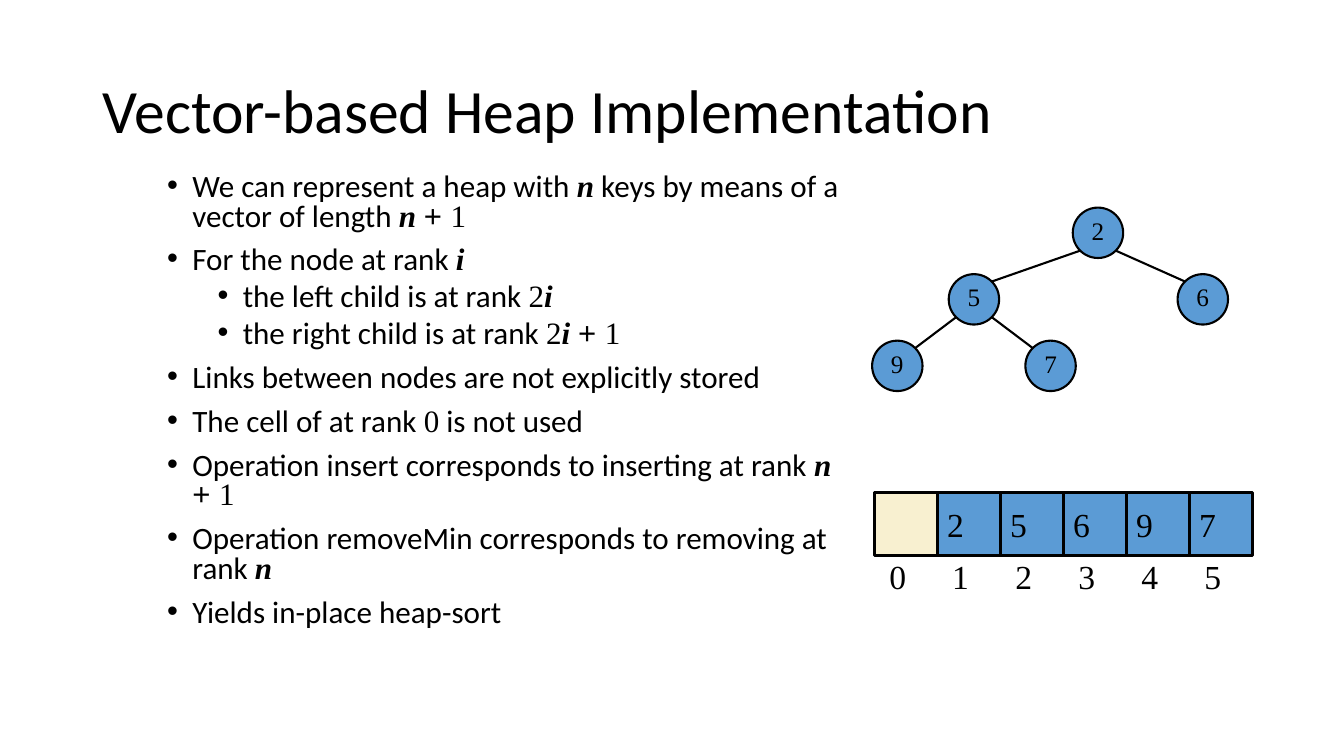
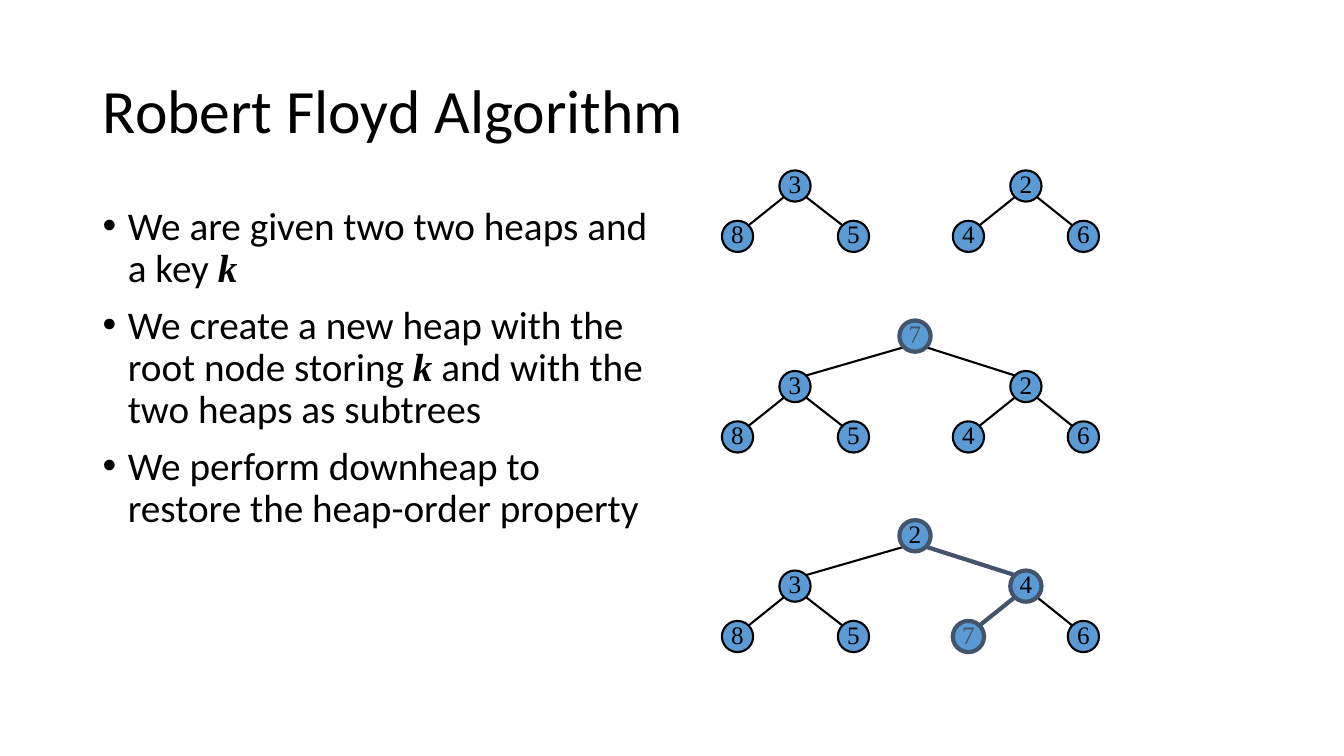
"""Build two slides on vector-based heaps and bottom-up heap merging."""
from dataclasses import dataclass
from typing import Any, NamedTuple

from lxml import etree
from pptx import Presentation
from pptx import util as u
from pptx.dml.color import RGBColor
from pptx.enum import shapes, text
from pptx.oxml import ns

COLOURS = {"ink": "000000", "node": "5B9BD5", "accent": "44546A", "unused": "F8F0D0", "paper": "FFFFFF"}
SANS, SERIF = "Calibri", "Times New Roman"
STYLES = {
    "plain": {"name": SANS, "bold": False, "italic": False},
    "variable": {"name": SERIF, "bold": True, "italic": True},
    "number": {"name": SERIF, "bold": False, "italic": False},
    "sign": {"name": "Arial", "bold": False, "italic": False},
}
TITLE_FRAME = {"vertical_anchor": text.MSO_ANCHOR.MIDDLE, "word_wrap": True, "auto_size": text.MSO_AUTO_SIZE.NONE}
TITLE_PARA = {"alignment": text.PP_ALIGN.LEFT, "line_spacing": 0.9}
NO_MARGINS = {"margin_left": 0, "margin_right": 0, "margin_top": 0, "margin_bottom": 0}
NODE_FRAME = NO_MARGINS | {
    "margin_bottom": u.Inches(0.05), "vertical_anchor": text.MSO_ANCHOR.MIDDLE, "word_wrap": False}
CELL_FRAME = {"vertical_anchor": text.MSO_ANCHOR.MIDDLE, "word_wrap": False}
LABEL_FRAME = NO_MARGINS | {"word_wrap": True}
RIM_SHARE = (1 - 0.5 ** 0.5) / 2


class Span(NamedTuple):
    """A piece of text in one of the named styles."""
    words: str
    style: str = "plain"


class Bullet(NamedTuple):
    """A bulleted paragraph at a given level."""
    spans: list[Span]
    level: int = 0


class Area(NamedTuple):
    """A rectangle in inches."""
    left: float
    top: float
    width: float
    height: float

    def lengths(self) -> list[u.Length]:
        """Return the four sides as lengths."""
        return [u.Inches(side) for side in self]


@dataclass(frozen=True)
class Heap:
    """A binary tree whose node of rank i has children 2i and 2i + 1."""
    keys: dict[int, str]
    lefts: tuple[float, ...]
    top: float
    step: float
    diameter: float
    ringed: tuple[int, ...] = ()
    tinted: tuple[int, ...] = ()

    def area(self, rank: int) -> Area:
        """Return the place of the node with this rank."""
        level = rank.bit_length() - 1
        return Area(self.lefts[rank - 1], self.top + level * self.step, self.diameter, self.diameter)


N, I, K = (Span(letter, "variable") for letter in "nik")
N_PLUS_ONE = [Span("n ", "variable"), Span("+ ", "sign"), Span("1", "number")]
TWO = Span("2", "number")
VECTOR_BULLETS = [
    Bullet([Span("We can represent a heap with "), N, Span(" keys by means of a vector of length "), *N_PLUS_ONE]),
    Bullet([Span("For the node at rank "), I]),
    Bullet([Span("the left child is at rank "), TWO, I], 1),
    Bullet([Span("the right child is at rank "), TWO, Span("i ", "variable"), *N_PLUS_ONE[1:]], 1),
    Bullet([Span("Links between nodes are not explicitly stored")]),
    Bullet([Span("The cell of at rank "), Span("0", "number"), Span(" is not used")]),
    Bullet([Span("Operation insert corresponds to inserting at rank "), *N_PLUS_ONE]),
    Bullet([Span("Operation removeMin corresponds to removing at rank "), N]),
    Bullet([Span("Yields in-place heap-sort")]),
]
FLOYD_BULLETS = [
    Bullet([Span("We are given two two heaps and a key "), K]),
    Bullet([Span("We create a new heap with the root node storing "), K,
            Span(" and with the two heaps as subtrees")]),
    Bullet([Span("We perform downheap to restore the heap-order property")]),
]
VECTOR_KEYS = "25697"
VECTOR_HEAP = Heap(dict(enumerate(VECTOR_KEYS, 1)), (10.64, 9.41, 11.68, 8.65, 10.17), 2.06, 0.66, 0.5)
MERGE_LEFTS = (8.92, 7.73, 10.02, 7.16, 8.31, 9.45, 10.59)
MERGE_HEAPS = [
    Heap(dict(enumerate("328546", 2)), MERGE_LEFTS, 1.19, 0.5, 0.31),
    Heap(dict(enumerate("7328546", 1)), MERGE_LEFTS, 3.18, 0.5, 0.31, (1,), (1,)),
    Heap(dict(enumerate("2348576", 1)), MERGE_LEFTS, 5.16, 0.5, 0.31, (1, 3, 6), (6,)),
]


def colour(name: str) -> RGBColor:
    """Look up a named colour."""
    return RGBColor.from_string(COLOURS[name])


def apply(target: Any, values: dict[str, Any]) -> None:
    """Set each attribute in values on the target."""
    for name, value in values.items():
        setattr(target, name, value)


def write(para: Any, span: Span, size: float, ink: str = "ink") -> None:
    """Add a styled span to a paragraph."""
    run = para.add_run()
    run.text = span.words
    apply(run.font, STYLES[span.style] | {"size": u.Pt(size)})
    run.font.color.rgb = colour(ink)


def stroke(line: Any, ink: str, weight: float) -> None:
    """Colour and weigh a line."""
    line.color.rgb = colour(ink)
    line.width = u.Pt(weight)


def add_page(deck: Any, title: str) -> Any:
    """Add a title-only page with the shared title style."""
    page = deck.slides.add_slide(deck.slide_layouts[5])
    page.background.fill.solid()
    page.background.fill.fore_color.rgb = colour("paper")
    box = page.shapes.title
    box.left, box.top, box.width, box.height = Area(0.92, 0.4, 11.5, 1.45).lengths()
    apply(box.text_frame, TITLE_FRAME)
    para = box.text_frame.paragraphs[0]
    apply(para, TITLE_PARA)
    write(para, Span(title), 44)
    return page


def add_bullets(page: Any, area: Area, bullets: list[Bullet], size: float, spacing: float) -> None:
    """Add a text box of bulleted paragraphs."""
    frame = page.shapes.add_textbox(*area.lengths()).text_frame
    frame.word_wrap = True
    for index, bullet in enumerate(bullets):
        para = frame.add_paragraph() if index else frame.paragraphs[0]
        before = u.Pt(5 if bullet.level else 10)
        apply(para, {"level": bullet.level, "line_spacing": spacing, "space_before": before})
        marks = para._p.get_or_add_pPr()
        marks.set("marL", str(u.Inches(0.25 + 0.5 * bullet.level)))
        marks.set("indent", str(u.Inches(-0.25)))
        etree.SubElement(marks, ns.qn("a:buFont"), typeface="Arial")
        etree.SubElement(marks, ns.qn("a:buChar"), char="•")
        for span in bullet.spans:
            write(para, span, size)


def add_key(parent: Any, kind: Any, area: Area, key: str, size: float, frame: dict[str, Any],
            align: Any, fill: str = "node", line: tuple[str, float] = ("ink", 1.5), ink: str = "ink") -> None:
    """Add a filled, outlined shape holding a key."""
    shape = parent.shapes.add_shape(kind, *area.lengths())
    shape.shadow.inherit = False
    shape.fill.solid()
    shape.fill.fore_color.rgb = colour(fill)
    stroke(shape.line, *line)
    apply(shape.text_frame, frame)
    if key:
        para = shape.text_frame.paragraphs[0]
        para.alignment = align
        write(para, Span(key, "number"), size, ink)


def add_edge(page: Any, parent: Area, child: Area, line: tuple[str, float]) -> None:
    """Join the diagonal rim points of a parent and a child node."""
    near, far = RIM_SHARE * parent.width, (1 - RIM_SHARE) * parent.width
    leftward = child.left < parent.left
    start = parent.left + (near if leftward else far), parent.top + far
    end = child.left + (far if leftward else near), child.top + near
    edge = page.shapes.add_connector(shapes.MSO_CONNECTOR.STRAIGHT, *(u.Inches(side) for side in start + end))
    stroke(edge.line, *line)
    etree.SubElement(edge._element.spPr, ns.qn("a:effectLst"))


def add_heap(page: Any, heap: Heap) -> None:
    """Draw the edges and then the nodes of a heap."""
    plain, accent = ("ink", 1.5), ("accent", 3)
    for rank in heap.keys:
        if rank // 2 in heap.keys:
            marked = {rank, rank // 2} <= set(heap.ringed)
            add_edge(page, heap.area(rank // 2), heap.area(rank), accent if marked else plain)
    for rank, key in heap.keys.items():
        add_key(page, shapes.MSO_SHAPE.OVAL, heap.area(rank), key, 18, NODE_FRAME, text.PP_ALIGN.CENTER,
                line=accent if rank in heap.ringed else plain,
                ink="accent" if rank in heap.tinted else "ink")


def add_vector(page: Any, keys: list[str], left: float, top: float, side: float) -> None:
    """Draw a row of cells with their ranks below."""
    group = page.shapes.add_group_shape()
    for rank, key in enumerate(keys):
        cell = Area(left + rank * side, top, side, side)
        add_key(group, shapes.MSO_SHAPE.RECTANGLE, cell, key, 24, CELL_FRAME, text.PP_ALIGN.LEFT,
                "node" if key else "unused", ("ink", 2.25))
        label = Area(cell.left + 0.15, top + side, 0.3, 0.4)
        frame = group.shapes.add_textbox(*label.lengths()).text_frame
        apply(frame, LABEL_FRAME)
        write(frame.paragraphs[0], Span(str(rank), "number"), 24)


def main() -> None:
    """Build and save the deck."""
    deck = Presentation()
    apply(deck, {"slide_width": u.Inches(13.33), "slide_height": u.Inches(7.5)})

    page = add_page(deck, "Vector-based Heap Implementation")
    add_bullets(page, Area(1.56, 1.67, 6.86, 4.75), VECTOR_BULLETS, 22.2, 0.8)
    add_heap(page, VECTOR_HEAP)
    add_vector(page, ["", *VECTOR_KEYS], 8.67, 4.89, 5 / 8)

    page = add_page(deck, "Robert Floyd Algorithm")
    add_bullets(page, Area(0.92, 2, 5.67, 4.76), FLOYD_BULLETS, 28, 0.9)
    for heap in MERGE_HEAPS:
        add_heap(page, heap)

    deck.save("out.pptx")


main()
